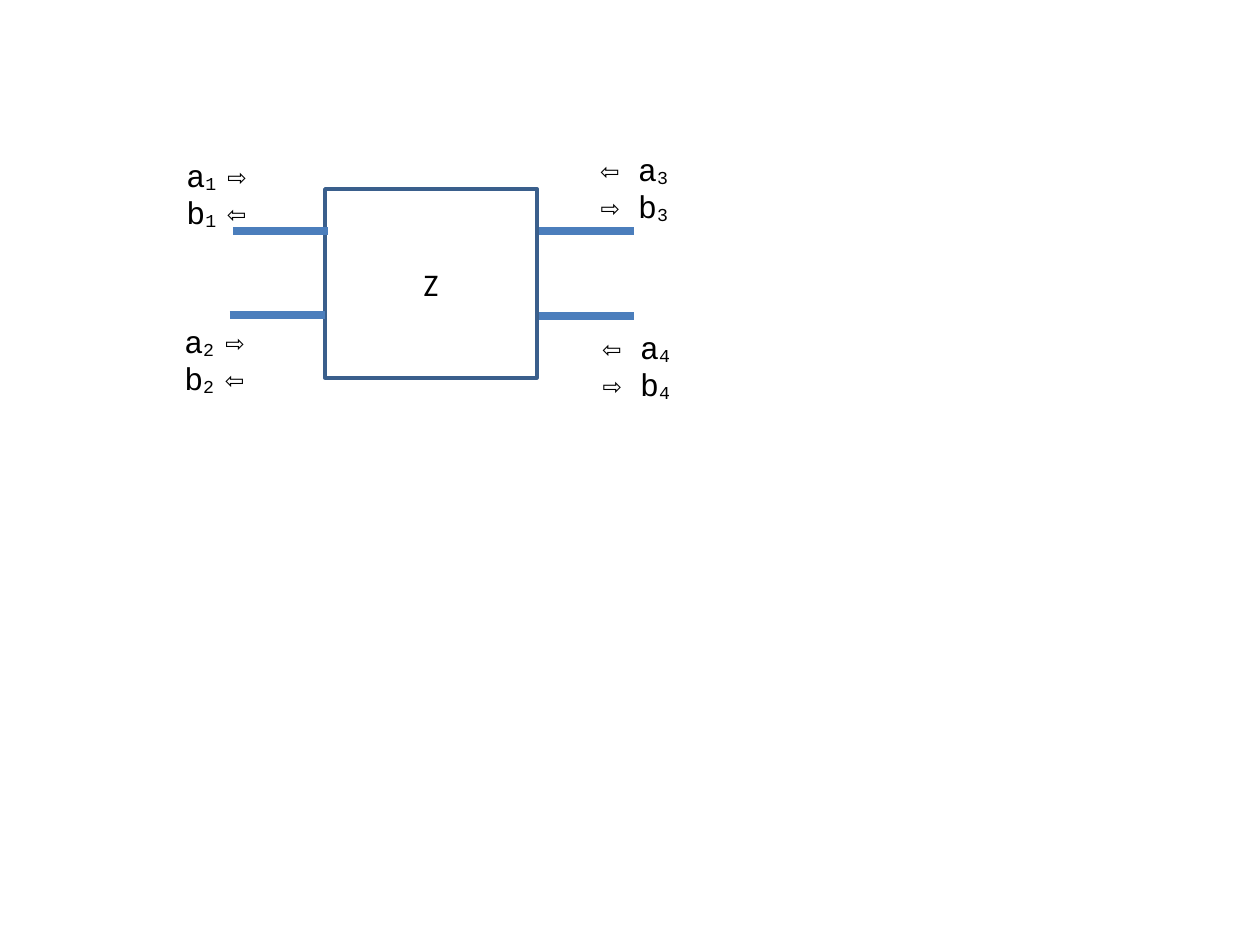
from pptx import Presentation
from pptx.dml.color import RGBColor
from pptx.enum.shapes import MSO_CONNECTOR, MSO_SHAPE
from pptx.enum.text import MSO_ANCHOR, MSO_AUTO_SIZE, PP_ALIGN
from pptx.oxml.ns import qn
from pptx.util import Emu, Inches, Pt
from lxml import etree

RECT = MSO_SHAPE.RECTANGLE
STRAIGHT = MSO_CONNECTOR.STRAIGHT
MIDDLE = MSO_ANCHOR.MIDDLE
GROW = MSO_AUTO_SIZE.SHAPE_TO_FIT_TEXT
CENTER = PP_ALIGN.CENTER

COLORS = {"text": "000000", "outline": "3A5F8C", "wire": "4B7EBC"}
RIGHT, LEFT = "\u21e8", "\u21e6"


def px(n):
    """Turn picture pixels into EMU."""
    return Emu(round(n * 914400 / 126))


def color(name):
    """Look up a named colour."""
    return RGBColor.from_string(COLORS[name])


class Diagram:
    """Style and current slide of the network diagram."""

    size = Pt(18)

    def __init__(self, slide):
        self.shapes = slide.shapes

    def run(self, p, text, font, baseline=0):
        """Add one run, lowered by a baseline percentage if given."""
        r = p.add_run()
        r.text = text
        r.font.name = font
        r.font.size = self.size
        r.font.color.rgb = color("text")
        if baseline:
            r.font._element.set("baseline", str(baseline * 1000))

    def box(self, x, y, w, h, text):
        """Add the outlined network block."""
        sp = self.shapes.add_shape(RECT, px(x), px(y), px(w), px(h))
        sp.shadow.inherit = False
        sp.fill.background()
        sp.line.color.rgb = color("outline")
        sp.line.width = Pt(2)
        tf = sp.text_frame
        tf.vertical_anchor = MIDDLE
        p = tf.paragraphs[0]
        p.alignment = CENTER
        self.run(p, text, "Calibri")

    def wire(self, x, y, length):
        """Add a horizontal port wire."""
        line = self.shapes.add_connector(STRAIGHT, px(x), px(y), px(x + length), px(y))
        line.line.color.rgb = color("wire")
        line.line.width = Pt(5)
        etree.SubElement(line._element.spPr, qn("a:effectLst"))

    def label(self, x, y, runs):
        """Add a wave label from (text, baseline) runs."""
        sp = self.shapes.add_textbox(px(x), px(y), px(126), px(50))
        tf = sp.text_frame
        tf.word_wrap = True
        tf.auto_size = GROW
        for text, baseline in runs:
            self.run(tf.paragraphs[0], text, "Courier New", baseline)


def wave_runs(wave, port, on_left):
    """Order the runs so that the arrow lies on the block's side of the label."""
    inward = wave == "a"
    arrow = RIGHT if inward == on_left else LEFT
    if on_left:
        return [(wave, 0), (f"{port} ", -10), (arrow, 0)]
    return [(f"{arrow} {wave}", 0), (str(port), -10)]


prs = Presentation()
prs.slide_width, prs.slide_height = Inches(10), Inches(7.5)
diagram = Diagram(prs.slides.add_slide(prs.slide_layouts[6]))

diagram.box(325, 189, 212, 189, "Z")
for x, y in [(233, 231), (539, 231), (230, 315), (539, 316)]:
    diagram.wire(x, y, 95)

LABEL_STEP = 37
PORTS = [(1, 174, 150), (2, 172, 316), (3, 588, 144), (4, 590, 322)]
for port, x, y in PORTS:
    for row, wave in enumerate("ab"):
        diagram.label(x, y + row * LABEL_STEP, wave_runs(wave, port, port < 3))

prs.save("out.pptx")
